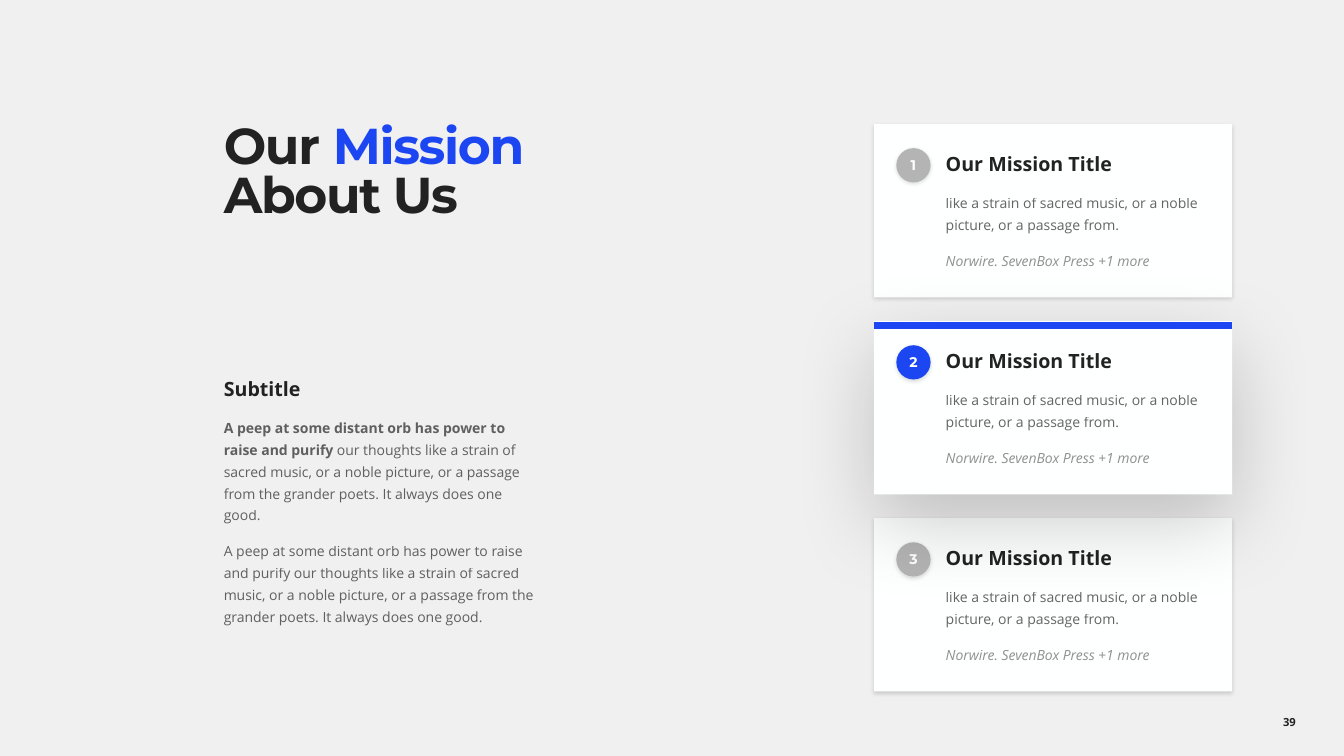
from lxml import etree
from pptx import Presentation
from pptx.dml.color import RGBColor
from pptx.enum.shapes import MSO_CONNECTOR, MSO_SHAPE
from pptx.enum.text import MSO_ANCHOR, MSO_AUTO_SIZE, PP_ALIGN
from pptx.oxml.ns import qn
from pptx.util import Inches, Pt

RECTANGLE, OVAL = MSO_SHAPE.RECTANGLE, MSO_SHAPE.OVAL
STRAIGHT = MSO_CONNECTOR.STRAIGHT
TOP, MIDDLE = MSO_ANCHOR.TOP, MSO_ANCHOR.MIDDLE
LEFT, CENTER = PP_ALIGN.LEFT, PP_ALIGN.CENTER
NO_FIT, GROW = MSO_AUTO_SIZE.NONE, MSO_AUTO_SIZE.SHAPE_TO_FIT_TEXT


class Theme:
    background, ink, accent = "F0F0F0", "222222", "1D46F3"
    card, muted = "FEFFFF", "B4B4B4"
    heading_font, body_font = "Montserrat", "Open Sans"
    title_size, subtitle_size, body_size, page_size = 36, 14, 10, 8
    # Shadows: opacity percent, blur points, distance points
    soft_shadow, deep_shadow = (15, 3, 1), (20, 60, 20)


# Run styles
TITLE = dict(size=Theme.title_size, font=Theme.heading_font, bold=True, spacing=-1)
SUBTITLE = dict(size=Theme.subtitle_size, bold=True)
BODY = dict(opacity=70)
STRONG = dict(opacity=70, bold=True)
SOURCE = dict(opacity=50, italic=True)
NUMBER = dict(font=Theme.heading_font, color=Theme.card, bold=True)
PAGE = dict(size=Theme.page_size, bold=True)

# Content: each paragraph is a list of (text, style) runs
PAGE_NUMBER = "39"
HEADLINE = [[("Our ", TITLE),
             ("Mission\v", dict(TITLE, color=Theme.accent)),
             ("About Us", TITLE)]]
ABOUT = [
    [("Subtitle", SUBTITLE)],
    [("A peep at some distant orb has power to raise and purify ", STRONG),
     ("our thoughts like a strain of sacred music, or a noble picture, or a passage "
      "from the grander poets. It always does one good.", BODY)],
    [("A peep at some distant orb has power to raise and purify our thoughts like a "
      "strain of sacred music, or a noble picture, or a passage from the grander "
      "poets. It always does one good.", BODY)],
]
MISSION = [
    [("Our Mission Title", SUBTITLE)],
    [("like a strain of sacred music, or a noble picture, or a passage from.", BODY)],
    [("Norwire. SevenBox Press +1 more", SOURCE)],
]
CARD_ORDER = (1, 3, 2)  # back to front
ACTIVE_CARD = 2

# Card geometry in inches
CARD_LEFT, CARD_TOP, CARD_PITCH = 8.67, 1.23, 1.955
CARD_WIDTH, CARD_HEIGHT = 3.55, 1.72
BADGE_OFFSET_X, BADGE_OFFSET_Y, BADGE_SIZE = 0.22, 0.24, 0.34
BAR_OFFSET, BAR_WEIGHT = 0.04, 5


def add_run(paragraph, text, size=Theme.body_size, font=Theme.body_font,
            color=Theme.ink, opacity=100, bold=False, italic=False, spacing=0):
    run = paragraph.add_run()
    run.text = text
    run.font.size, run.font.name = Pt(size), font
    run.font.bold, run.font.italic = bold, italic
    run.font.color.rgb = RGBColor.from_string(color)
    properties = run._r.get_or_add_rPr()
    if spacing:
        properties.set("spc", str(spacing * 100))
    if opacity < 100:
        rgb = properties.find(f".//{qn('a:srgbClr')}")
        etree.SubElement(rgb, qn("a:alpha"), val=str(opacity * 1000))


def write(shape, paragraphs, insets=(0, 0, 0, 0), anchor=TOP, align=LEFT,
          line_spacings=(1,), space_before=10, fit=NO_FIT):
    """Fill a shape; the last line spacing holds for all further paragraphs."""
    frame = shape.text_frame
    frame.word_wrap, frame.auto_size = True, fit
    frame.vertical_anchor = anchor
    (frame.margin_left, frame.margin_top,
     frame.margin_right, frame.margin_bottom) = map(Inches, insets)
    for index, runs in enumerate(paragraphs):
        paragraph = frame.add_paragraph() if index else frame.paragraphs[0]
        paragraph.alignment = align
        paragraph.line_spacing = line_spacings[min(index, len(line_spacings) - 1)]
        paragraph.space_before = Pt(space_before if index else 0)
        for text, style in runs:
            if "\v" in text:
                add_run(paragraph, text.rstrip("\v"), **style)
                paragraph.add_line_break()
            else:
                add_run(paragraph, text, **style)


def add_panel(shapes, kind, box, fill, shadow):
    panel = shapes.add_shape(kind, *map(Inches, box))
    panel.fill.solid()
    panel.fill.fore_color.rgb = RGBColor.from_string(fill)
    panel.line.fill.background()
    panel.shadow.inherit = False
    opacity, blur, distance = shadow
    effects = panel._element.spPr.find(qn("a:effectLst"))
    outer = etree.SubElement(effects, qn("a:outerShdw"), blurRad=str(Pt(blur)),
                             dist=str(Pt(distance)), dir="5400000",
                             algn="t", rotWithShape="0")
    rgb = etree.SubElement(outer, qn("a:srgbClr"), val="000000")
    etree.SubElement(rgb, qn("a:alpha"), val=str(opacity * 1000))
    return panel


def add_card(slide, number):
    active = number == ACTIVE_CARD
    top = CARD_TOP + (number - 1) * CARD_PITCH
    shapes = slide.shapes.add_group_shape().shapes
    card = add_panel(shapes, RECTANGLE, (CARD_LEFT, top, CARD_WIDTH, CARD_HEIGHT),
                     Theme.card, Theme.deep_shadow if active else Theme.soft_shadow)
    write(card, MISSION, insets=(0.71, 0.28, 0.28, 0.05), line_spacings=(1, 1.3))
    badge = add_panel(shapes, OVAL,
                      (CARD_LEFT + BADGE_OFFSET_X, top + BADGE_OFFSET_Y,
                       BADGE_SIZE, BADGE_SIZE),
                      Theme.accent if active else Theme.muted, Theme.soft_shadow)
    write(badge, [[(str(number), NUMBER)]], anchor=MIDDLE, align=CENTER)
    if active:
        bar_y = top + BAR_OFFSET
        bar = shapes.add_connector(STRAIGHT, Inches(CARD_LEFT), Inches(bar_y),
                                   Inches(CARD_LEFT + CARD_WIDTH), Inches(bar_y))
        bar.line.color.rgb = RGBColor.from_string(Theme.accent)
        bar.line.width = Pt(BAR_WEIGHT)
        etree.SubElement(bar._element.spPr, qn("a:effectLst"))


def main():
    presentation = Presentation()
    presentation.slide_width, presentation.slide_height = Inches(13.33), Inches(7.5)
    slide = presentation.slides.add_slide(presentation.slide_layouts[5])
    slide.background.fill.solid()
    slide.background.fill.fore_color.rgb = RGBColor.from_string(Theme.background)

    # Title
    title = slide.shapes.title
    title.left, title.top = Inches(2.22), Inches(1.04)
    title.width, title.height = Inches(4.45), Inches(2.32)
    write(title, HEADLINE, insets=(0, 0.21, 0, 0), line_spacings=(0.8,))

    # Page number
    page = slide.shapes.add_textbox(*map(Inches, (12.24, 6.96, 1.1, 0.4)))
    write(page, [[(PAGE_NUMBER, PAGE)]], anchor=MIDDLE, align=CENTER)

    # Description
    about = slide.shapes.add_textbox(*map(Inches, (2.22, 3.63, 3.4, 2.64)))
    write(about, ABOUT, insets=(0, 0.04, 0.24, 0.04), line_spacings=(1.3,), fit=GROW)

    # Mission cards
    for number in CARD_ORDER:
        add_card(slide, number)

    presentation.save("out.pptx")


if __name__ == "__main__":
    main()
